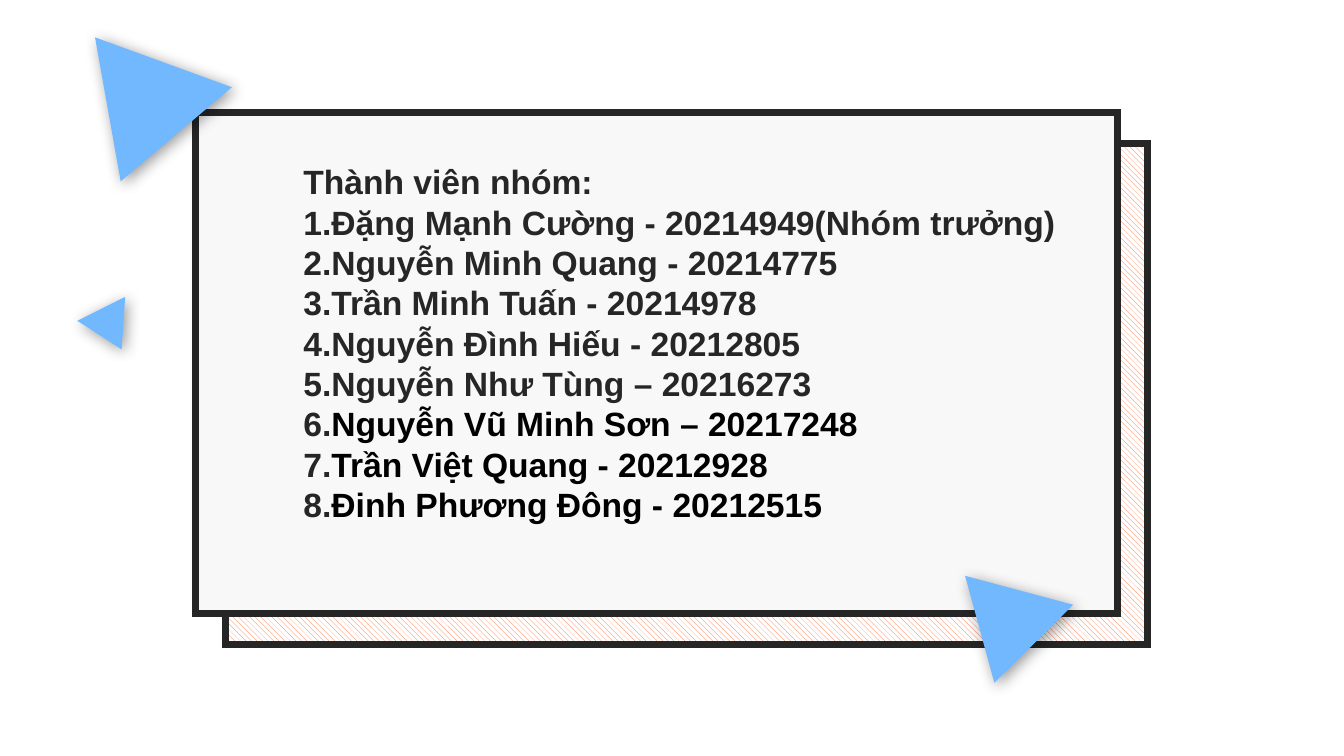
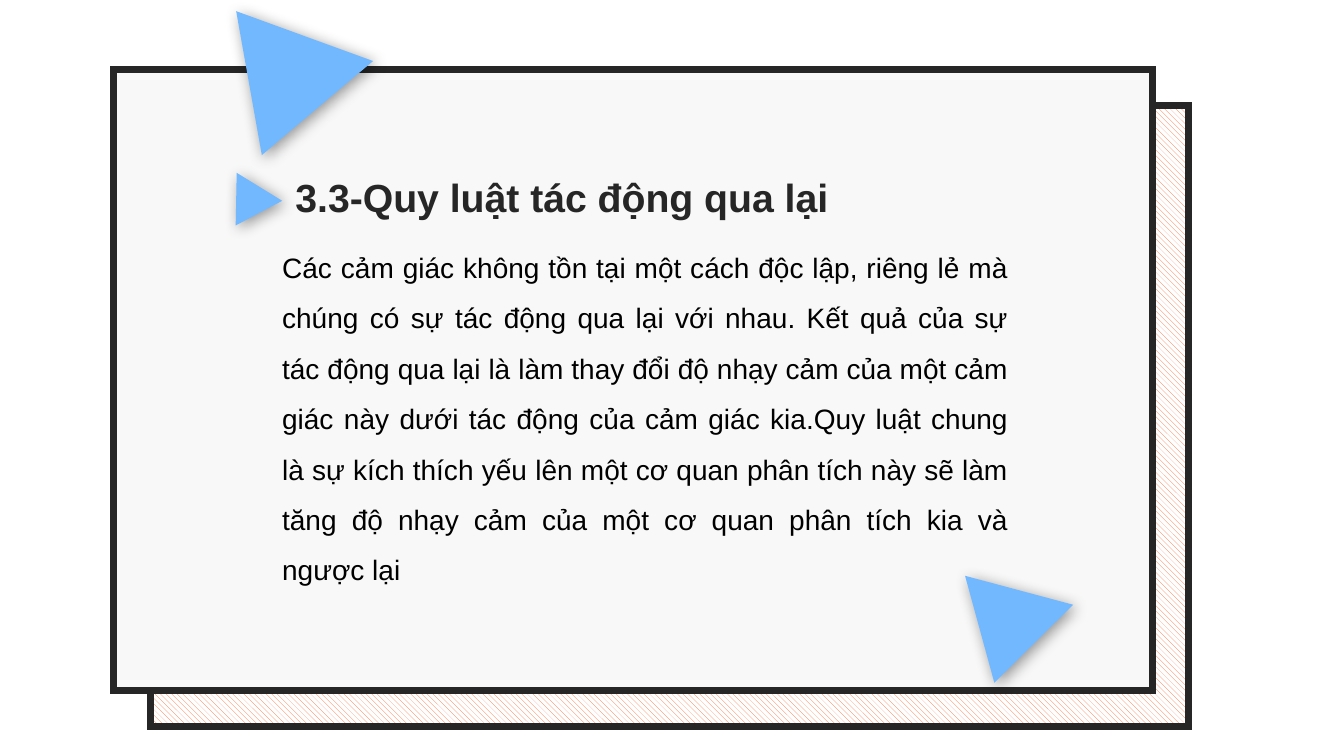
from dataclasses import dataclass
from lxml.etree import SubElement
from pptx import Presentation
from pptx.dml.color import RGBColor
from pptx.enum.dml import MSO_PATTERN
from pptx.enum.shapes import MSO_SHAPE
from pptx.enum.text import MSO_AUTO_SIZE, PP_ALIGN
from pptx.oxml.ns import qn
from pptx.shapes.autoshape import Shape
from pptx.slide import Slide
from pptx.util import Inches, Pt

# Shared look
FONT = "Arial"
DARK, BLACK, WHITE = "262626", "000000", "FFFFFF"
PANEL, HATCH, BLUE = "F8F8F8", "FE6835", "72B8FF"


@dataclass(frozen=True)
class Box:
    left: float
    top: float
    width: float
    height: float

    def shift(self, step: float) -> "Box":
        return Box(self.left + step, self.top + step, self.width, self.height)

    def emu(self) -> tuple:
        return tuple(Inches(n) for n in (self.left, self.top, self.width, self.height))


@dataclass(frozen=True)
class Wedge:
    box: Box
    turn: float


@dataclass(frozen=True)
class Run:
    text: str
    color: str = DARK


@dataclass(frozen=True)
class Style:
    size: int
    bold: bool = True
    align: PP_ALIGN = PP_ALIGN.JUSTIFY
    lead: float = 1.0
    pad: tuple = (0, 0)


CORNER = Wedge(Box(9.43, 5.84, 1.11, 0.95), 195)


def rgb(color: str) -> RGBColor:
    return RGBColor.from_string(color)


# Framed card over a hatched card
def card(group, box: Box) -> Shape:
    shape = group.shapes.add_shape(MSO_SHAPE.RECTANGLE, *box.emu())
    shape.shadow.inherit = False
    shape.line.color.rgb = rgb(DARK)
    shape.line.width = Pt(5)
    line = shape.element.spPr.find(qn("a:ln"))
    SubElement(line, qn("a:miter"), lim="800000")
    return shape


def panel(slide: Slide, box: Box, step: float) -> None:
    group = slide.shapes.add_group_shape()
    back = card(group, box.shift(step)).fill
    back.patterned()
    back.pattern = MSO_PATTERN.WIDE_DOWNWARD_DIAGONAL
    back.fore_color.rgb = rgb(HATCH)
    back.back_color.rgb = rgb(WHITE)
    front = card(group, box).fill
    front.solid()
    front.fore_color.rgb = rgb(PANEL)


# Blue triangle with a soft shadow
def wedge(slide: Slide, item: Wedge) -> None:
    shape = slide.shapes.add_shape(MSO_SHAPE.ISOSCELES_TRIANGLE, *item.box.emu())
    shape.rotation = item.turn
    shape.fill.solid()
    shape.fill.fore_color.rgb = rgb(BLUE)
    shape.line.fill.background()
    shape.shadow.inherit = False
    effect = shape.element.spPr.find(qn("a:effectLst"))
    shade = SubElement(effect, qn("a:outerShdw"), blurRad=str(Pt(11)),
                       dist=str(Pt(3)), dir="2700000", algn="tl", rotWithShape="0")
    color = SubElement(shade, qn("a:srgbClr"), val=BLACK)
    SubElement(color, qn("a:alpha"), val="40000")


# Text, one list of runs per paragraph
def write(slide: Slide, box: Box, lines: list[list[Run]], style: Style) -> None:
    frame = slide.shapes.add_textbox(*box.emu()).text_frame
    frame.word_wrap = True
    frame.auto_size = MSO_AUTO_SIZE.SHAPE_TO_FIT_TEXT
    side, edge = (Inches(n) for n in style.pad)
    frame.margin_left = frame.margin_right = side
    frame.margin_top = frame.margin_bottom = edge
    for i, runs in enumerate(lines):
        para = frame.add_paragraph() if i else frame.paragraphs[0]
        para.alignment = style.align
        para.line_spacing = style.lead
        for item in runs:
            run = para.add_run()
            run.text = item.text
            run.font.name = FONT
            run.font.size = Pt(style.size)
            run.font.bold = style.bold
            run.font.color.rgb = rgb(item.color)


# Slide 1: group members
TEAM = [
    Run("Đặng Mạnh Cường - 20214949(Nhóm trưởng)"),
    Run("Nguyễn Minh Quang - 20214775"),
    Run("Trần Minh Tuấn - 20214978"),
    Run("Nguyễn Đình Hiếu - 20212805"),
    Run("Nguyễn Như Tùng – 20216273"),
    Run("Nguyễn Vũ Minh Sơn – 20217248", BLACK),
    Run("Trần Việt Quang - 20212928", BLACK),
    Run("Đinh Phương Đông - 20212515", BLACK),
]


def members(slide: Slide) -> None:
    panel(slide, Box(1.94, 1.12, 9.14, 4.97), 0.3)
    wedge(slide, Wedge(Box(0.96, 0.35, 1.45, 1.25), 79.9))
    wedge(slide, Wedge(Box(0.84, 3.04, 0.53, 0.45), 153.4))
    lines = [[Run("Thành viên nhóm:")]]
    lines += [[Run(f"{n}."), name] for n, name in enumerate(TEAM, 1)]
    write(slide, Box(3.01, 1.6, 9.06, 3.64), lines, Style(24))
    wedge(slide, CORNER)


# Slide 2: law of interaction
LAW = (
    "Các cảm giác không tồn tại một cách độc lập, riêng lẻ mà chúng có sự "
    "tác động qua lại với nhau. Kết quả của sự tác động qua lại là làm thay "
    "đổi độ nhạy cảm của một cảm giác này dưới tác động của cảm giác kia."
    "Quy luật chung là sự kích thích yếu lên một cơ quan phân tích này sẽ "
    "làm tăng độ nhạy cảm của một cơ quan phân tích kia và ngược lại"
)


def law(slide: Slide) -> None:
    panel(slide, Box(1.13, 0.69, 10.3, 6.16), 0.36)
    wedge(slide, Wedge(Box(2.36, 0.09, 1.45, 1.25), 79.9))
    wedge(slide, Wedge(Box(2.19, 1.82, 0.53, 0.45), 211.6))
    write(slide, Box(2.93, 1.72, 5.93, 0.47),
          [[Run("3.3-Quy luật tác động qua lại")]], Style(28, align=PP_ALIGN.LEFT))
    write(slide, Box(2.7, 2.27, 7.4, 3.58), [[Run(LAW, BLACK)]],
          Style(20, bold=False, lead=1.5, pad=(0.1, 0.05)))
    wedge(slide, CORNER)


def main() -> None:
    deck = Presentation()
    deck.slide_width, deck.slide_height = Inches(13.33), Inches(7.5)
    blank = deck.slide_layouts[6]
    for build in (members, law):
        build(deck.slides.add_slide(blank))
    deck.save("out.pptx")


if __name__ == "__main__":
    main()
